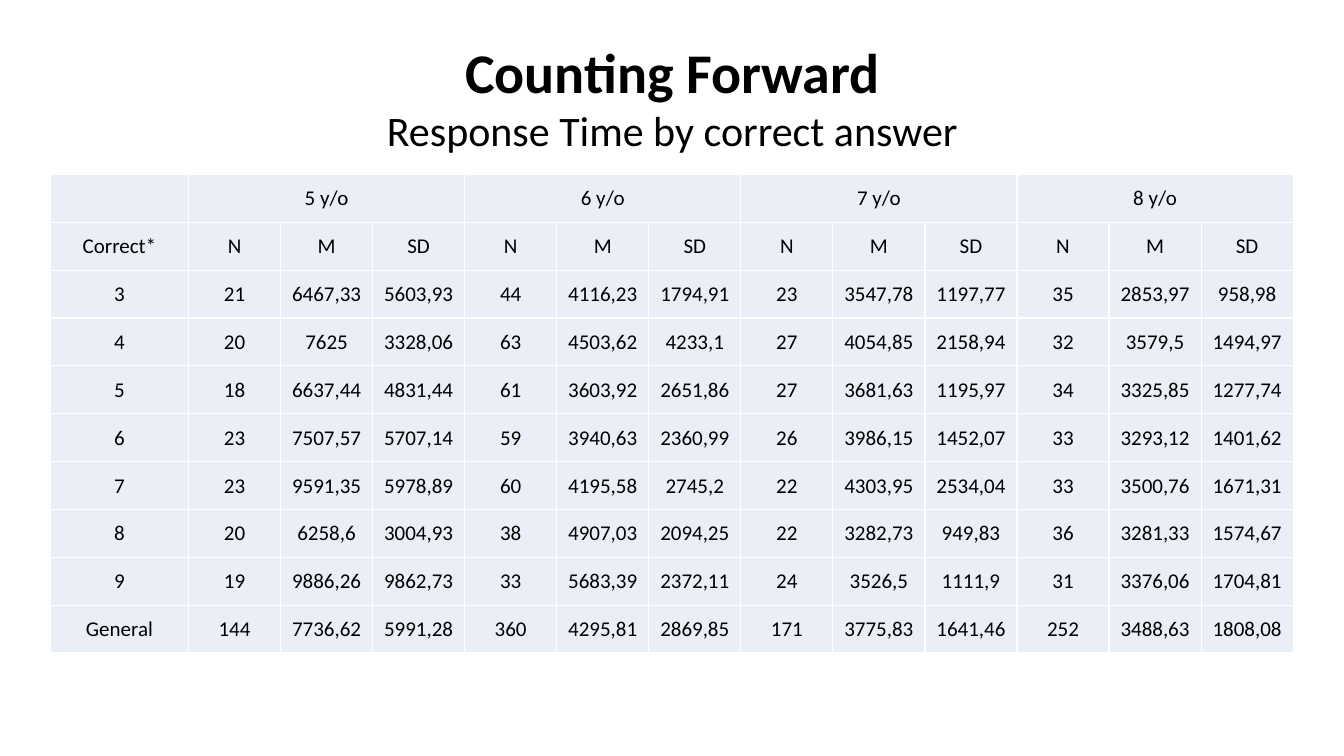
from lxml import etree
from pptx import Presentation
from pptx.dml.color import RGBColor
from pptx.enum.text import MSO_ANCHOR, MSO_AUTO_SIZE, PP_ALIGN
from pptx.oxml.ns import qn
from pptx.util import Inches, Pt

CENTER = PP_ALIGN.CENTER
MIDDLE = MSO_ANCHOR.MIDDLE
TOP = MSO_ANCHOR.TOP
FIT_SHAPE = MSO_AUTO_SIZE.SHAPE_TO_FIT_TEXT
FONT = "Calibri"
COLORS = {"text": "000000", "cell": "EAEFF7", "border": "FFFFFF"}

AGES = ["5 y/o", "6 y/o", "7 y/o", "8 y/o"]
STATS = ["N", "M", "SD"]
RESULTS = """
3 21 6467,33 5603,93 44 4116,23 1794,91 23 3547,78 1197,77 35 2853,97 958,98
4 20 7625 3328,06 63 4503,62 4233,1 27 4054,85 2158,94 32 3579,5 1494,97
5 18 6637,44 4831,44 61 3603,92 2651,86 27 3681,63 1195,97 34 3325,85 1277,74
6 23 7507,57 5707,14 59 3940,63 2360,99 26 3986,15 1452,07 33 3293,12 1401,62
7 23 9591,35 5978,89 60 4195,58 2745,2 22 4303,95 2534,04 33 3500,76 1671,31
8 20 6258,6 3004,93 38 4907,03 2094,25 22 3282,73 949,83 36 3281,33 1574,67
9 19 9886,26 9862,73 33 5683,39 2372,11 24 3526,5 1111,9 31 3376,06 1704,81
General 144 7736,62 5991,28 360 4295,81 2869,85 171 3775,83 1641,46 252 3488,63 1808,08
"""


def format_text(p, size, bold=False):
    p.alignment = CENTER
    for r in p.runs:
        r.font.name = FONT
        r.font.size = Pt(size)
        r.font.bold = bold
        r.font.color.rgb = RGBColor.from_string(COLORS["text"])


def format_cell(cell):
    cell.margin_left = cell.margin_right = cell.margin_top = Inches(0.01)
    cell.margin_bottom = 0
    cell.vertical_anchor = MIDDLE
    tc_pr = cell._tc.get_or_add_tcPr()
    for side in ("lnL", "lnR", "lnT", "lnB"):
        ln = etree.SubElement(tc_pr, qn(f"a:{side}"), w=str(Pt(1)))
        line_fill = etree.SubElement(ln, qn("a:solidFill"))
        etree.SubElement(line_fill, qn("a:srgbClr"), val=COLORS["border"])
    cell.fill.solid()
    cell.fill.fore_color.rgb = RGBColor.from_string(COLORS["cell"])
    format_text(cell.text_frame.paragraphs[0], 15)


prs = Presentation()
prs.slide_width = Inches(13.33)
prs.slide_height = Inches(7.5)
slide = prs.slides.add_slide(prs.slide_layouts[5])

title = slide.shapes.title
title.left, title.top = Inches(3.27), Inches(0.32)
title.width, title.height = Inches(6.8), Inches(1.28)
tf = title.text_frame
tf.word_wrap = True
tf.auto_size = FIT_SHAPE
tf.vertical_anchor = TOP
tf.text = "Counting Forward\nResponse Time by correct answer"
format_text(tf.paragraphs[0], 40, bold=True)
format_text(tf.paragraphs[1], 30)

age_row = [""]
for age in AGES:
    age_row += [age] + [""] * (len(STATS) - 1)
rows = [age_row, ["Correct*"] + STATS * len(AGES)]
rows += [line.split() for line in RESULTS.strip().splitlines()]

width, height, label_width = 12.33, 4.75, 1.37
n_rows, n_cols = len(rows), len(age_row)
table = slide.shapes.add_table(
    n_rows, n_cols, Inches(0.5), Inches(1.73), Inches(width), Inches(height)
).table
for i, column in enumerate(table.columns):
    column.width = Inches((width - label_width) / (n_cols - 1) if i else label_width)
for row in table.rows:
    row.height = Inches(height / n_rows)

for i, values in enumerate(rows):
    for j, value in enumerate(values):
        cell = table.cell(i, j)
        cell.text = value
        format_cell(cell)

for j in range(1, n_cols, len(STATS)):
    table.cell(0, j).merge(table.cell(0, j + len(STATS) - 1))

prs.save("out.pptx")
